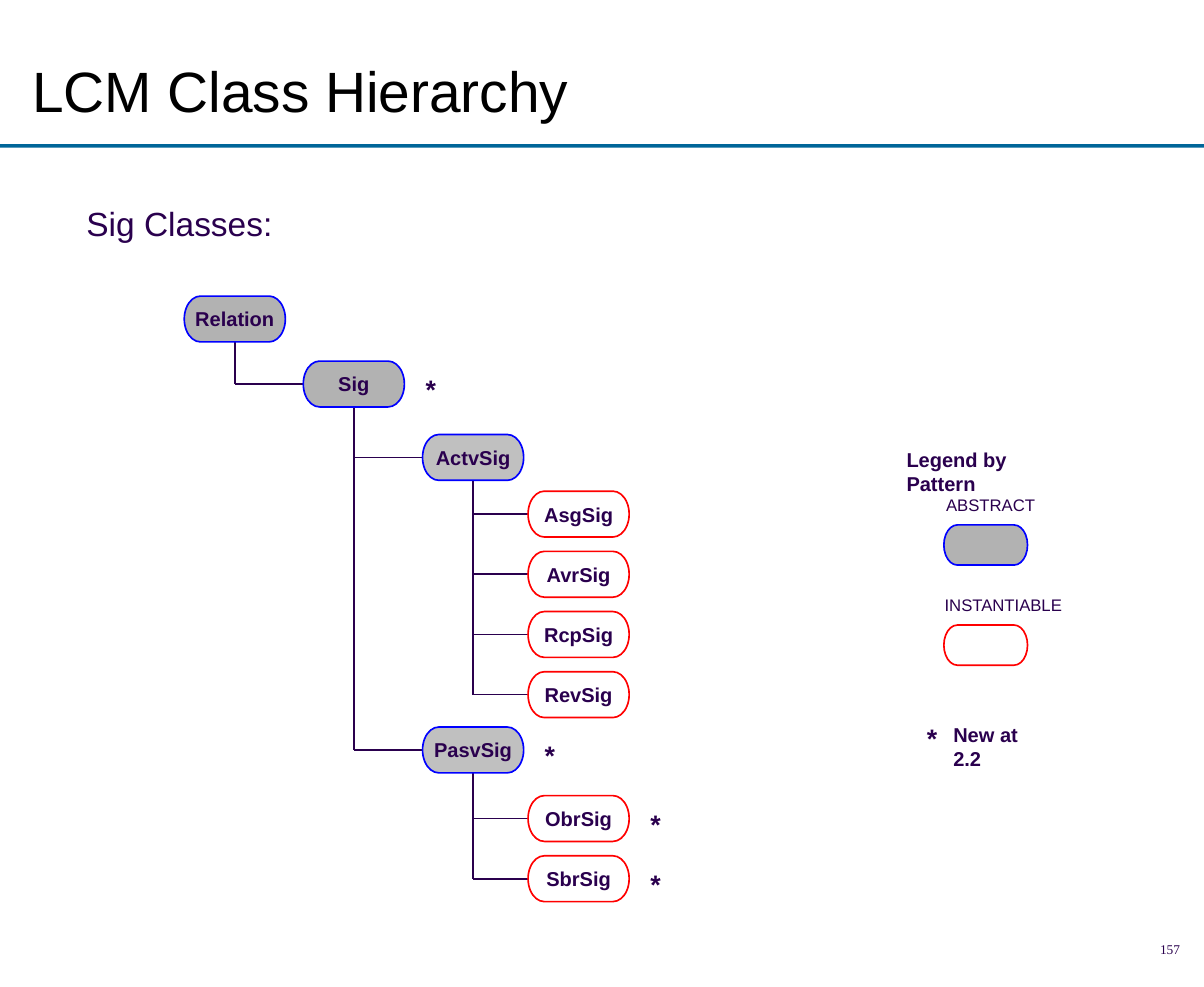
from pptx import Presentation
from pptx.dml.color import RGBColor
from pptx.enum import shapes, text
from pptx.oxml.ns import qn
from pptx.util import Pt

INK, BLUE, RED = "2A004E", "0000FF", "FF0000"
GRAY, LIGHT_GRAY = "B2B2B2", "C0C0C0"
NODE_W, NODE_H = 60.5, 27.4
LEAF_X, LEAF_STEP = 315.8, 36

# name, parent, left, top, fill (None = instantiable), new at 2.2
CLASSES = [
    ("Relation", None, 110.2, 177.1, GRAY, False),
    ("Sig", "Relation", 181.4, 216, GRAY, True),
    ("ActvSig", "Sig", 252.7, 259.9, LIGHT_GRAY, False),
    ("PasvSig", "Sig", 252.7, 434.9, LIGHT_GRAY, True),
]
# parent, top of first leaf, leaf names, new at 2.2
LEAF_GROUPS = [
    ("ActvSig", 293.8, ["AsgSig", "AvrSig", "RcpSig", "RevSig"], False),
    ("PasvSig", 475.9, ["ObrSig", "SbrSig"], True),
]
for parent, first_top, names, is_new in LEAF_GROUPS:
    for i, name in enumerate(names):
        CLASSES.append((name, parent, LEAF_X, first_top + i * LEAF_STEP, None, is_new))

# label, label left, label top, label width, symbol top, fill
LEGEND = [
    ("ABSTRACT", 558.7, 292.5, 68, 314, GRAY),
    ("INSTANTIABLE", 557.8, 352.3, 85, 373.9, None),
]

deck = Presentation()
deck.slide_width, deck.slide_height = Pt(720), Pt(590.4)
page = deck.slides.add_slide(deck.slide_layouts[6])


def color(hex_string):
    return RGBColor.from_string(hex_string)


def write(frame, words, size, bold=False, ink=INK, font="Arial", align=text.PP_ALIGN.LEFT):
    para = frame.paragraphs[0]
    para.alignment = align
    span = para.add_run()
    span.text = words
    span.font.name, span.font.size, span.font.bold = font, Pt(size), bold
    span.font.color.rgb = color(ink)
    return para


def add_text(words, left, top, width, height, size, wrap=False, middle=False, **style):
    box = page.shapes.add_textbox(Pt(left), Pt(top), Pt(width), Pt(height))
    box.text_frame.word_wrap = wrap
    if middle:
        box.text_frame.vertical_anchor = text.MSO_ANCHOR.MIDDLE
    return write(box.text_frame, words, size, **style)


def add_line(x1, y1, x2, y2):
    line = page.shapes.add_connector(
        shapes.MSO_CONNECTOR.STRAIGHT, Pt(x1), Pt(y1), Pt(x2), Pt(y2))
    line.line.color.rgb, line.line.width = color(INK), Pt(1)
    properties = line._element.spPr
    properties.append(properties.makeelement(qn("a:effectLst"), {}))


def add_pill(left, top, width, height, fill):
    """Abstract classes are filled with a blue edge, instantiable ones hollow and red."""
    pill = page.shapes.add_shape(
        shapes.MSO_SHAPE.FLOWCHART_TERMINATOR, Pt(left), Pt(top), Pt(width), Pt(height))
    pill.shadow.inherit = False
    if fill:
        pill.fill.solid()
        pill.fill.fore_color.rgb = color(fill)
    else:
        pill.fill.background()
    pill.line.color.rgb, pill.line.width = color(BLUE if fill else RED), Pt(1)
    return pill


def add_star(left, top):
    add_text("*", left, top, 20, 26.6, 16, bold=True)


rule = page.shapes.add_shape(shapes.MSO_SHAPE.RECTANGLE, Pt(0), Pt(86.2), Pt(720), Pt(2.2))
rule.shadow.inherit = False
rule.fill.solid()
rule.fill.fore_color.rgb = color("006699")
rule.line.fill.background()

title = add_text("LCM Class Hierarchy", 12.2, 6.5, 588, 98.6, 34,
                 wrap=True, middle=True, ink="000000")
title.line_spacing = 0.95
add_text("Sig Classes:", 44.6, 117.7, 640, 30, 20, wrap=True)

# Connectors: one trunk under each parent, one branch to each child
for parent, _, left, top, _, _ in CLASSES:
    children = [(x, y + NODE_H / 2) for _, owner, x, y, _, _ in CLASSES if owner == parent]
    if children:
        trunk = left + NODE_W / 2
        add_line(trunk, top + NODE_H, trunk, max(y for _, y in children))
        for x, y in children:
            add_line(trunk, y, x, y)

for name, _, left, top, fill, is_new in CLASSES:
    frame = add_pill(left, top, NODE_W, NODE_H, fill).text_frame
    frame.margin_left = frame.margin_right = frame.margin_top = frame.margin_bottom = 0
    frame.word_wrap = False
    frame.vertical_anchor = text.MSO_ANCHOR.MIDDLE
    write(frame, name, 12, bold=True, align=text.PP_ALIGN.CENTER)
    if is_new:
        add_star(left + 66, top + 3.5)

add_text("Legend by Pattern", 535, 264.2, 118.8, 21.6, 12, bold=True)
for label, left, top, width, symbol_top, fill in LEGEND:
    add_text(label, left, top, width, 19.4, 10)
    add_pill(564.5, symbol_top, 50, 24, fill)
add_star(547.2, 428.4)
add_text("New at 2.2", 563, 428.4, 72.7, 21.6, 12, bold=True)

add_text("157", 563, 548.6, 149.8, 38.9, 8, wrap=True, middle=True,
         font="Times New Roman", align=text.PP_ALIGN.RIGHT)

deck.save("out.pptx")
